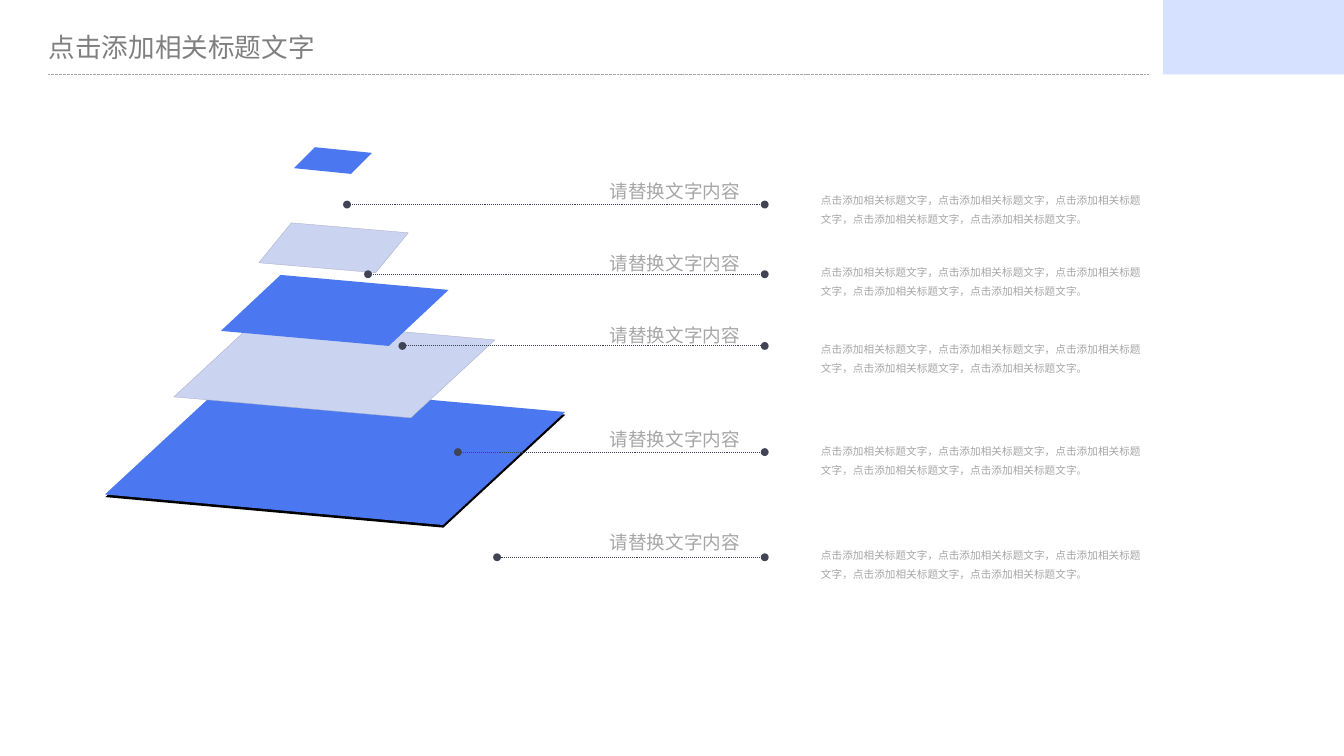
from dataclasses import dataclass

import pptx
import pptx.dml.color
import pptx.enum.dml
import pptx.enum.shapes
import pptx.enum.text
import pptx.oxml
import pptx.oxml.ns
import pptx.util

Pt = pptx.util.Pt
Align = pptx.enum.text.PP_ALIGN
Dash = pptx.enum.dml.MSO_LINE
Fit = pptx.enum.text.MSO_AUTO_SIZE


@dataclass(frozen=True)
class Theme:
    title_color: str = "808080"
    text_color: str = "A6A6A6"
    band: str = "D6E1FF"
    dark_layer: str = "4B78F0"
    light_layer: str = "CAD3F0"
    layer_edge: str = "A6AEC8"
    shadow: str = "000000"
    leader: str = "414455"
    body_font: str = "Noto Sans CJK SC"
    label_font: str = "Arial"
    title_size: float = 20
    label_size: float = 14
    body_size: float = 8


def rgb(value):
    return pptx.dml.color.RGBColor.from_string(value)


class SlideBuilder:
    def __init__(self, slide, theme):
        self.s = slide
        self.theme = theme

    def set_text(self, sp, text, font, size, color, frame, paragraph):
        """Fill a text shape; frame and paragraph hold format values."""
        tf = sp.text_frame
        for name, value in frame.items():
            setattr(tf, name, value)
        p = tf.paragraphs[0]
        for name, value in paragraph.items():
            setattr(p, name, value)
        r = p.add_run()
        r.text = text
        for name, value in {"name": font, "size": Pt(size), "bold": False}.items():
            setattr(r.font, name, value)
        r.font.color.rgb = rgb(color)
        ea = pptx.oxml.parse_xml(
            f'<a:ea {pptx.oxml.ns.nsdecls("a")} typeface="{font}"/>')
        r.font._element.append(ea)

    def title(self, text, x, y, w, h):
        sp = self.s.shapes.title
        box = {"left": x, "top": y, "width": w, "height": h}
        for name, value in box.items():
            setattr(sp, name, Pt(value))
        frame = {"auto_size": Fit.NONE, "word_wrap": True,
                 "vertical_anchor": pptx.enum.text.MSO_ANCHOR.MIDDLE,
                 "margin_left": Pt(7.9), "margin_right": Pt(7.9)}
        self.set_text(sp, text, self.theme.body_font, self.theme.title_size,
                      self.theme.title_color, frame, {"alignment": Align.LEFT})

    def text_box(self, text, x, y, w, h, font, size, wrap, align, spacing):
        sp = self.s.shapes.add_textbox(Pt(x), Pt(y), Pt(w), Pt(h))
        self.set_text(sp, text, font, size, self.theme.text_color,
                      {"word_wrap": wrap, "auto_size": Fit.SHAPE_TO_FIT_TEXT},
                      {"alignment": align, "line_spacing": spacing})

    def label(self, text, y):
        self.text_box(text, 450.7, y, 113.8, 27.4, self.theme.label_font,
                      self.theme.label_size, False, Align.RIGHT, 1.2)

    def body(self, text, y):
        self.text_box(text, 611.3, y, 257.8, 36, self.theme.body_font,
                      self.theme.body_size, True, Align.LEFT, 1.5)

    def paint(self, sp, fill, edge=None):
        sp.shadow.inherit = False
        sp.fill.solid()
        sp.fill.fore_color.rgb = rgb(fill)
        if edge:
            sp.line.color.rgb = rgb(edge)
            sp.line.width = Pt(0.25)
        else:
            sp.line.fill.background()

    def rectangle(self, x, y, w, h, fill):
        kind = pptx.enum.shapes.MSO_SHAPE.RECTANGLE
        sp = self.s.shapes.add_shape(kind, Pt(x), Pt(y), Pt(w), Pt(h))
        self.paint(sp, fill)

    def parallelogram(self, corner, front, side, fill, edge=None):
        """Draw from the left corner along the front and side vectors."""
        x, y = corner
        (fx, fy), (sx, sy) = front, side
        points = [(x + fx, y + fy), (x + fx + sx, y + fy + sy), (x + sx, y + sy)]
        builder = self.s.shapes.build_freeform(Pt(x), Pt(y))
        builder.add_line_segments([(Pt(px), Pt(py)) for px, py in points])
        self.paint(builder.convert_to_shape(), fill, edge)

    def line(self, x1, x2, y, color, width, dash, dots=False):
        c = self.s.shapes.add_connector(
            pptx.enum.shapes.MSO_CONNECTOR.STRAIGHT, Pt(x1), Pt(y), Pt(x2), Pt(y))
        c.line.color.rgb = rgb(color)
        c.line.width = Pt(width)
        c.line.dash_style = dash
        ns = pptx.oxml.ns.nsdecls("a")
        if dots:
            ln = c.line._get_or_add_ln()
            for end in ("headEnd", "tailEnd"):
                ln.append(pptx.oxml.parse_xml(f'<a:{end} {ns} type="oval"/>'))
        c._element.spPr.append(pptx.oxml.parse_xml(f"<a:effectLst {ns}/>"))


LABEL = "请替换文字内容"
BODY = "，".join(["点击添加相关标题文字"] * 5) + "。"

# Left corner, front vector, side vector; from the base up
LAYERS = [
    ((79.1, 372.5), (254.6, 23), (91.9, -85.1)),
    ((131, 299), (178.5, 15.8), (63.3, -58.7)),
    ((166.4, 249.3), (126.5, 11.3), (45, -42.2)),
    ((195, 198), (88.1, 7.5), (24.5, -30.1)),
    ((221.4, 126.7), (43, 4.3), (15.8, -15.8)),
]

# Leader start, leader height, label top, body top
ROWS = [
    (261.4, 154.1, 128.9, 137.5),
    (277.2, 206.6, 182.9, 192.2),
    (303.1, 260.6, 236.9, 249.8),
    (344.9, 340.6, 315.4, 326.9),
    (374.4, 419.8, 393.1, 405.4),
]


def main():
    prs = pptx.Presentation()
    prs.slide_width, prs.slide_height = Pt(1012.3), Pt(569.5)
    theme = Theme()
    b = SlideBuilder(prs.slides.add_slide(prs.slide_layouts[5]), theme)

    b.title("点击添加相关标题文字", 28.8, 20.9, 241.2, 29.5)
    b.line(36, 864.7, 56.2, theme.text_color, 0.25, Dash.SQUARE_DOT)
    b.rectangle(876, 0, 136.3, 56, theme.band)

    (x, y), front, side = LAYERS[0]
    b.parallelogram((x + 0.3, y + 2), front, side, theme.shadow)
    for i, layer in enumerate(LAYERS):
        if i % 2:
            b.parallelogram(*layer, theme.light_layer, theme.layer_edge)
        else:
            b.parallelogram(*layer, theme.dark_layer)

    for start, level, label_top, body_top in ROWS:
        b.line(start, 576, level, theme.leader, 0.75, Dash.ROUND_DOT, dots=True)
        b.label(LABEL, label_top)
        b.body(BODY, body_top)

    prs.save("out.pptx")


if __name__ == "__main__":
    main()
